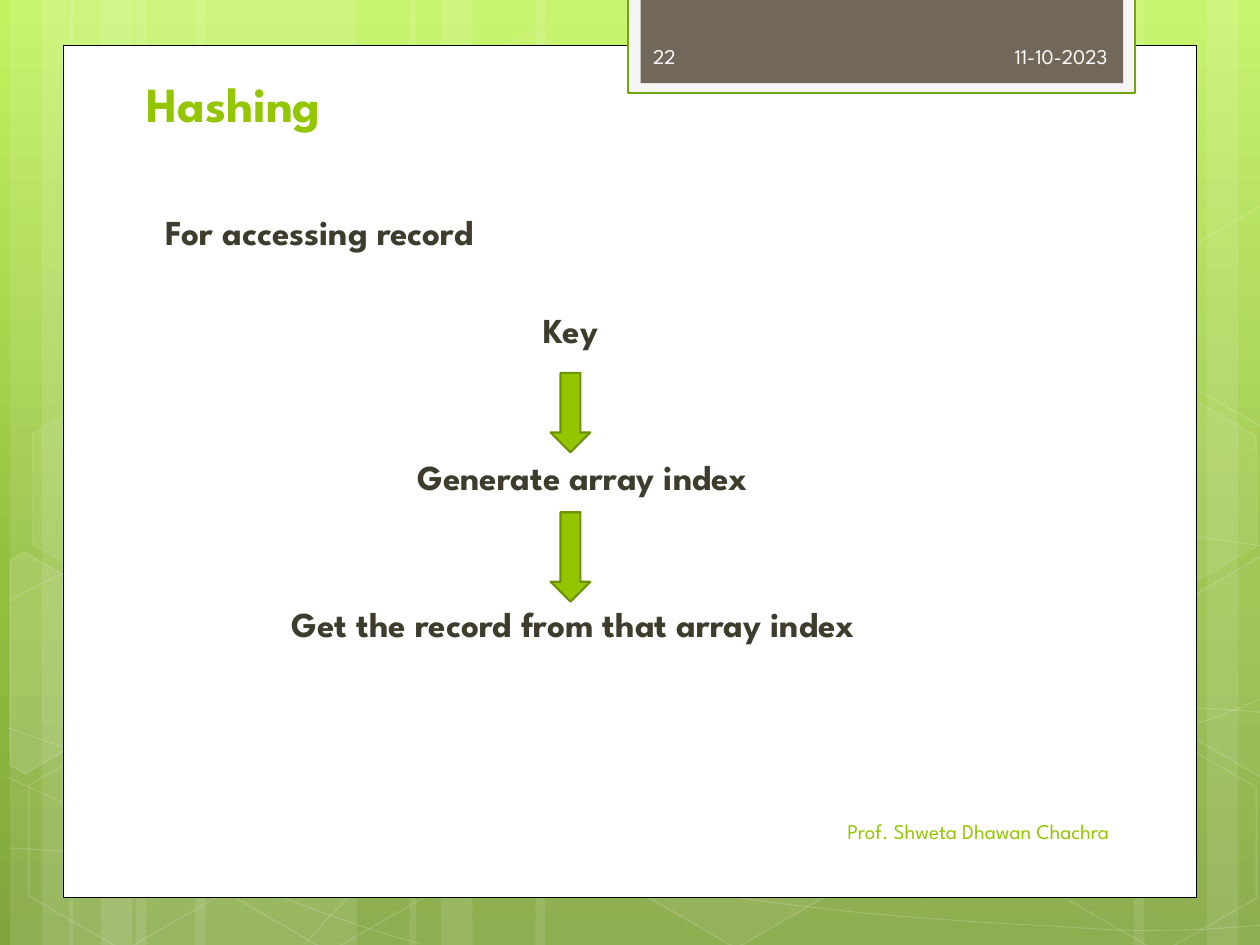
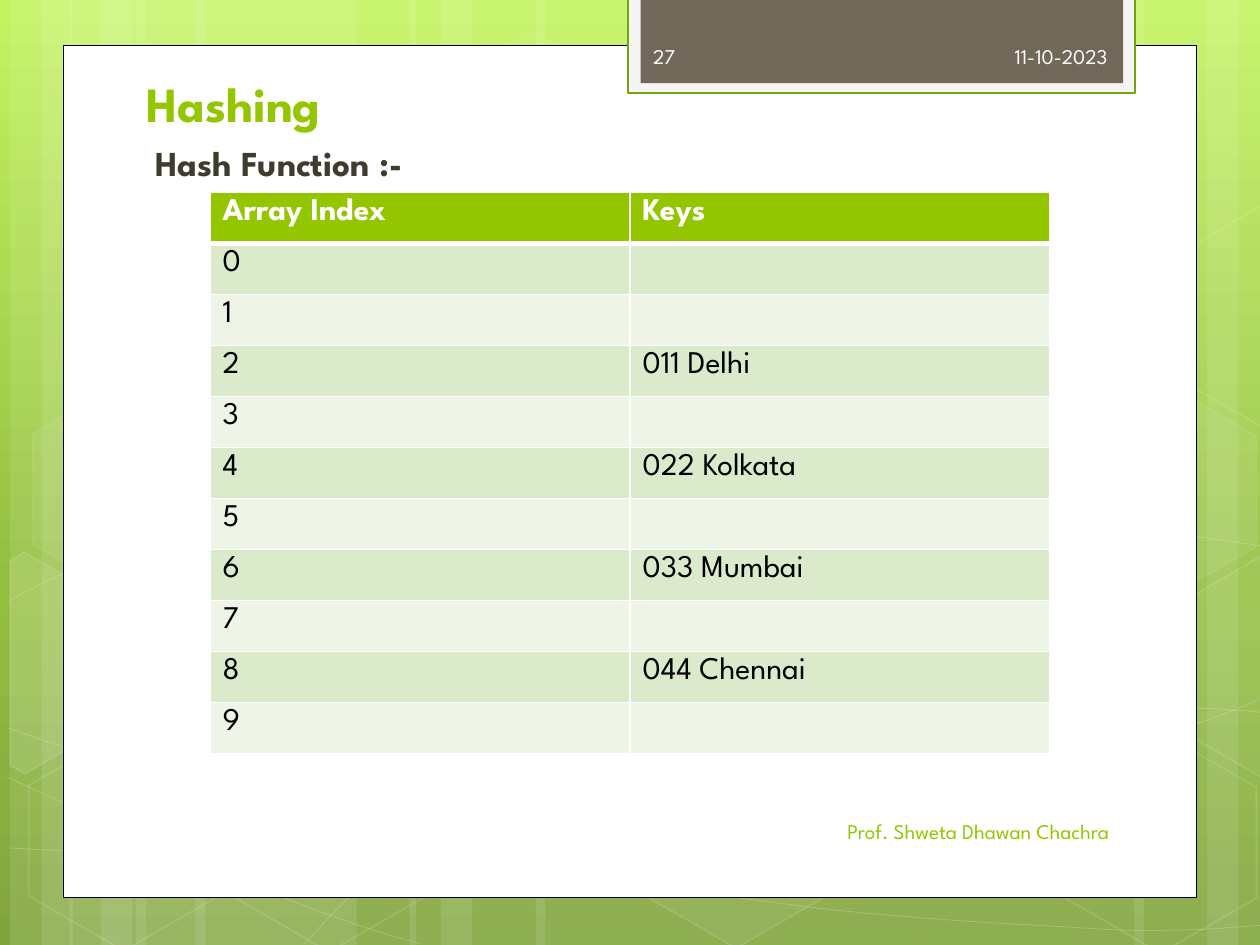
from dataclasses import dataclass
from math import cos, radians, sin
from typing import NamedTuple

from lxml import etree
from pptx import Presentation
from pptx.dml.color import RGBColor
from pptx.enum.shapes import MSO_SHAPE
from pptx.enum.text import MSO_ANCHOR, PP_ALIGN
from pptx.oxml.ns import qn
from pptx.util import Emu, Inches, Pt

RECTANGLE = MSO_SHAPE.RECTANGLE
HEXAGON = MSO_SHAPE.HEXAGON
DOWN_ARROW = MSO_SHAPE.DOWN_ARROW
LEFT, RIGHT = PP_ALIGN.LEFT, PP_ALIGN.RIGHT
TOP, MIDDLE, BOTTOM = MSO_ANCHOR.TOP, MSO_ANCHOR.MIDDLE, MSO_ANCHOR.BOTTOM

FONT = "League Spartan"
WHITE, BLACK, GREEN, INK = "FFFFFF", "000000", "94C600", "3E3D2D"
ARROW_EDGE, TAB_EDGE, TAB_RIM, TAB_FILL = "6D9200", "74A510", "F5F5F5", "71685A"
TAB_TEXT = "FEFEFE"
BANDS = ("DCEACC", "EEF5E7")
BACKGROUND = ((0, "C3F35F"), (62, "93BF3F"), (100, "81A53E"))

# The grid has 100 columns and 75 rows of equal size
SLIDE_WIDTH, SLIDE_HEIGHT = Inches(10), Inches(7.5)
COLUMN, ROW = SLIDE_WIDTH / 100, SLIDE_HEIGHT / 75
TILT = 30


class Frame(NamedTuple):
    left: float
    top: float
    width: float
    height: float

    def emu(self) -> tuple:
        return (across(self.left), down(self.top), across(self.width), down(self.height))


class Line(NamedTuple):
    color: str
    width: float
    opacity: int = 100


@dataclass
class Hexagon:
    left: float
    top: float
    fill_opacity: int
    line_opacity: int


@dataclass
class Pane:
    """A tilted hexagon cut off by the slide's edge."""
    center: tuple
    points: tuple
    fill_opacity: int


@dataclass
class Step:
    text: str
    tab: int = 0
    skipped_lines: int = 0


# Background decoration: (left, width) of each full-height stripe
STRIPES = ((10.8, 17.5), (0.8, 5), (3.3, 8.3), (15.5, 17.5), (5.5, 5), (8, 8.3),
           (73.3, 17.5), (95.8, 5), (90, 8.3), (42.5, 30.8), (32.5, 5), (35, 8.3))

# Each curve is a start point, then two handles and an end point per segment
CURVES = (
    ((0.7, 67.3), (6.1, 67.6), (11.5, 67.9), (19, 67.8), (26.5, 67.7), (35.8, 67.5),
     (45.8, 66.5), (55.8, 65.5), (70, 63.6), (79.2, 61.7), (88.3, 59.8), (97.7, 56.8),
     (100.7, 55.1)),
    ((0.7, 47.7), (3.6, 46.1), (6.5, 44.6), (12.1, 43.1), (17.8, 41.6), (25.9, 39.4),
     (34.7, 38.7), (43.6, 38), (54.4, 37.9), (65.4, 38.7), (76.4, 39.5), (94.7, 42.6),
     (100.7, 43.4)),
    ((0.6, 61.7), (12.7, 67.2), (24.7, 72.7), (33.4, 74.9)),
    ((0.7, 57.8), (3.8, 58.9), (7, 60), (12.8, 61.6), (18.6, 63.1), (27.3, 65.6),
     (35.7, 67.3), (44, 69), (54.5, 70.8), (62.8, 71.8), (71.1, 72.9), (80, 73.3),
     (85.3, 73.6), (90.5, 74), (91.9, 73.8), (94.5, 73.8), (97.1, 73.7), (98.9, 73.5),
     (100.7, 73.4)),
    ((24.2, 74.9), (26, 72.9), (27.8, 70.9), (30.2, 69.1), (32.6, 67.3), (36, 65.3),
     (38.8, 63.9), (41.6, 62.5), (43.3, 61.9), (47, 60.9), (50.6, 59.9), (57.3, 58.5),
     (60.8, 57.8), (64.4, 57.1), (64.9, 57.1), (68, 56.9), (71.1, 56.6), (76, 56.3),
     (79.4, 56.2), (82.9, 56.1), (88.6, 56.2), (88.6, 56.2), (90.8, 56.2), (93.1, 56.2),
     (95.3, 56.2), (97.1, 56.3), (98.8, 56.4), (99.7, 56.5), (100.6, 56.6), (100.3, 56.5),
     (100.6, 56.6)),
)

HEXAGONS_AND_PANES = (
    Hexagon(33.4, 3.6, 4, 8),
    Hexagon(49.7, 58.9, 6, 12),
    Pane((3.6, 53.5), ((0.8, 44.5), (1.9, 43.8), (9.6, 48.2), (9.5, 57), (2, 61.4),
                       (0.8, 60.7)), 10),
    Hexagon(1.1, 59.1, 0, 12),
    Hexagon(1.4, 31.2, 7, 8),
    Hexagon(17.4, 59.2, 0, 12),
    Hexagon(75.3, 45.3, 10, 12),
    Hexagon(83.4, 59.3, 0, 12),
    Hexagon(83.4, 31.4, 7, 8),
    Pane((98.5, 52), ((92.6, 48.5), (100.1, 44.1), (100.9, 44.6), (100.9, 61.3),
                      (100.2, 61.7), (92.6, 57.3)), 4),
    Pane((98.5, 24.1), ((92.6, 20.7), (100.1, 16.3), (101, 16.8), (100.9, 33.5),
                        (100.2, 33.9), (92.6, 29.5)), 0),
)

STEPS = (Step("For accessing record"), Step("Key", 3, 1),
         Step("Generate array index", 2, 2),
         Step("Get the record from that array index", 1, 2))
BODY_INDENT, TAB_STEP = 0.75, 10
LINE_PITCH, LINE_GAP = 28, 4
ARROWS = (Frame(43.7, 29.6, 3.15, 6.3), Frame(43.7, 40.65, 3.15, 7.1))

TABLE_FRAME = Frame(16.67, 15.25, 66.67, 44.6)
HEADINGS = ("Array Index", "Keys")
KEYS = {2: "011 Delhi", 4: "022 Kolkata", 6: "033 Mumbai", 8: "044 Chennai"}
SLOTS = 10


def across(columns: float) -> Emu:
    return Emu(round(columns * COLUMN))


def down(rows: float) -> Emu:
    return Emu(round(rows * ROW))


def rgb(color: str) -> RGBColor:
    return RGBColor.from_string(color)


def paint(fill, color: str, opacity: int = 100) -> None:
    fill.solid()
    fill.fore_color.rgb = rgb(color)
    if opacity < 100:
        value = fill._xPr.find(qn("a:solidFill")).find(qn("a:srgbClr"))
        etree.SubElement(value, qn("a:alpha"), val=str(opacity * 1000))


def style(shape, fill: str | None, line: Line | None, opacity: int = 100) -> None:
    shape.shadow.inherit = False
    if fill and opacity:
        paint(shape.fill, fill, opacity)
    else:
        shape.fill.background()
    if line:
        paint(shape.line.fill, line.color, line.opacity)
        shape.line.width = Pt(line.width)
    else:
        shape.line.fill.background()


def add_figure(parent, kind, frame: Frame, fill: str | None = None,
               line: Line | None = None, opacity: int = 100):
    shape = parent.shapes.add_shape(kind, *frame.emu())
    style(shape, fill, line, opacity)
    return shape


def add_outline(parent, points, line: Line, close: bool = False, opacity: int = 0):
    first, *rest = [(across(x), down(y)) for x, y in points]
    builder = parent.shapes.build_freeform(*first)
    builder.add_line_segments(rest, close=close)
    shape = builder.convert_to_shape()
    style(shape, WHITE, line, opacity)
    return shape


def add_curve(parent, knots: tuple) -> None:
    shape = add_outline(parent, knots, Line(WHITE, 0.5, 20))
    # Every three straight segments become the handles and end of one curve
    segments = list(shape.element.iter(qn("a:lnTo")))
    for start in range(0, len(segments), 3):
        curve = etree.Element(qn("a:cubicBezTo"))
        segments[start].addprevious(curve)
        for segment in segments[start:start + 3]:
            curve.append(segment[0])
            segment.getparent().remove(segment)


def add_pane(parent, pane: Pane) -> None:
    middle_x, middle_y = pane.center
    cosine, sine = cos(radians(TILT)), sin(radians(TILT))
    upright = [(middle_x + (x - middle_x) * cosine + (y - middle_y) * sine,
                middle_y - (x - middle_x) * sine + (y - middle_y) * cosine)
               for x, y in pane.points]
    add_outline(parent, upright, Line(WHITE, 1, 12), True, pane.fill_opacity).rotation = TILT


def add_hexagon(parent, item: Hexagon) -> None:
    shape = add_figure(parent, HEXAGON, Frame(item.left, item.top, 17.5, 15.2), WHITE,
                       Line(WHITE, 1, item.line_opacity), item.fill_opacity)
    shape.adjustments[0] = 0.29
    shape.rotation = TILT


def write(para, text: str, *, size: float, color: str, bold: bool = False,
          align=LEFT, before: float = 0, indent: float = 0) -> None:
    para.alignment = align
    para.space_before = Pt(before)
    if indent:
        para._p.get_or_add_pPr().set("marL", str(across(indent)))
    span = para.add_run()
    span.text = text
    span.font.name = FONT
    span.font.size = Pt(size)
    span.font.bold = bold
    span.font.color.rgb = rgb(color)


def add_box(page, frame: Frame, anchor):
    box = page.shapes.add_textbox(*frame.emu())
    box.text_frame.word_wrap = True
    box.text_frame.vertical_anchor = anchor
    return box.text_frame


def add_text(page, frame: Frame, text: str, *, anchor=MIDDLE, **text_format) -> None:
    write(add_box(page, frame, anchor).paragraphs[0], text, **text_format)


def add_body(page, frame: Frame, steps: tuple) -> None:
    body = add_box(page, frame, TOP)
    for index, step in enumerate(steps):
        para = body.add_paragraph() if index else body.paragraphs[0]
        write(para, step.text, size=20, color=INK, bold=True,
              before=LINE_GAP + step.skipped_lines * LINE_PITCH,
              indent=BODY_INDENT + step.tab * TAB_STEP)


def draw_background(page) -> None:
    fill = page.background.fill
    fill.gradient()
    fill.gradient_angle = 270
    stops = next(page.element.iter(qn("a:gsLst")))
    for stop in list(stops):
        stops.remove(stop)
    for position, color in BACKGROUND:
        stop = etree.SubElement(stops, qn("a:gs"), pos=str(position * 1000))
        etree.SubElement(stop, qn("a:srgbClr"), val=color)

    group = page.shapes.add_group_shape()
    for left, width in STRIPES:
        add_figure(group, RECTANGLE, Frame(left, 0, width, 75), WHITE, opacity=10)
    for knots in CURVES:
        add_curve(group, knots)
    for item in HEXAGONS_AND_PANES:
        if isinstance(item, Pane):
            add_pane(group, item)
        else:
            add_hexagon(group, item)


def add_page(deck, title: str, number: int):
    page = deck.slides.add_slide(deck.slide_layouts[6])
    draw_background(page)
    # White panel and the tab at its top
    add_figure(page, RECTANGLE, Frame(5, 3.6, 90, 67.65), WHITE, Line(BLACK, 0.5))
    add_figure(page, RECTANGLE, Frame(49.85, -0.2, 40.25, 7.6), TAB_RIM, Line(TAB_EDGE, 1.25))
    add_figure(page, RECTANGLE, Frame(50.85, -0.2, 38.3, 6.8), TAB_FILL)
    # Title, date, footer and page number
    add_text(page, Frame(10.65, 5.2, 76.8, 5.8), title, anchor=BOTTOM, size=28,
             color=GREEN, bold=True)
    add_text(page, Frame(65.6, 2.45, 23.3, 4), "11-10-2023", size=12, color=TAB_TEXT,
             align=RIGHT)
    add_text(page, Frame(50.75, 64, 38.28, 4), "Prof. Shweta Dhawan Chachra", size=12,
             color=GREEN, align=RIGHT)
    add_text(page, Frame(50.85, 2.45, 14.6, 4), str(number), size=12, color=TAB_TEXT)
    return page


def set_borders(cell, **widths: float) -> None:
    properties = cell._tc.get_or_add_tcPr()
    for index, side in enumerate("LRTB"):
        edge = etree.Element(qn(f"a:ln{side}"), w=str(Pt(widths.get(side, 1))))
        solid = etree.SubElement(edge, qn("a:solidFill"))
        etree.SubElement(solid, qn("a:srgbClr"), val=WHITE)
        properties.insert(index, edge)


def add_hash_table(page) -> None:
    rows = [HEADINGS] + [(str(slot), KEYS.get(slot, "")) for slot in range(SLOTS)]
    table = page.shapes.add_table(len(rows), len(HEADINGS), *TABLE_FRAME.emu()).table
    for column in table.columns:
        column.width = across(TABLE_FRAME.width / len(HEADINGS))
    for index, texts in enumerate(rows):
        table.rows[index].height = down(TABLE_FRAME.height / len(rows))
        header = index == 0
        for place, text in enumerate(texts):
            cell = table.cell(index, place)
            paint(cell.fill, GREEN if header else BANDS[(index - 1) % 2])
            set_borders(cell, B=3 if header else 1, T=3 if index == 1 else 1)
            if text:
                write(cell.text_frame.paragraphs[0], text, size=18,
                      color=WHITE if header else BLACK, bold=header)


def main() -> None:
    deck = Presentation()
    deck.slide_width, deck.slide_height = SLIDE_WIDTH, SLIDE_HEIGHT
    # Accessing a record
    page = add_page(deck, "Hashing", 22)
    add_body(page, Frame(11.4, 16.2, 74.1, 47.5), STEPS)
    for frame in ARROWS:
        add_figure(page, DOWN_ARROW, frame, GREEN, Line(ARROW_EDGE, 1.25))
    # Hash function
    page = add_page(deck, "Hashing", 27)
    add_body(page, Frame(10.6, 10.7, 74.1, 55.1), (Step("Hash Function :-"),))
    add_hash_table(page)
    deck.save("out.pptx")


if __name__ == "__main__":
    main()
